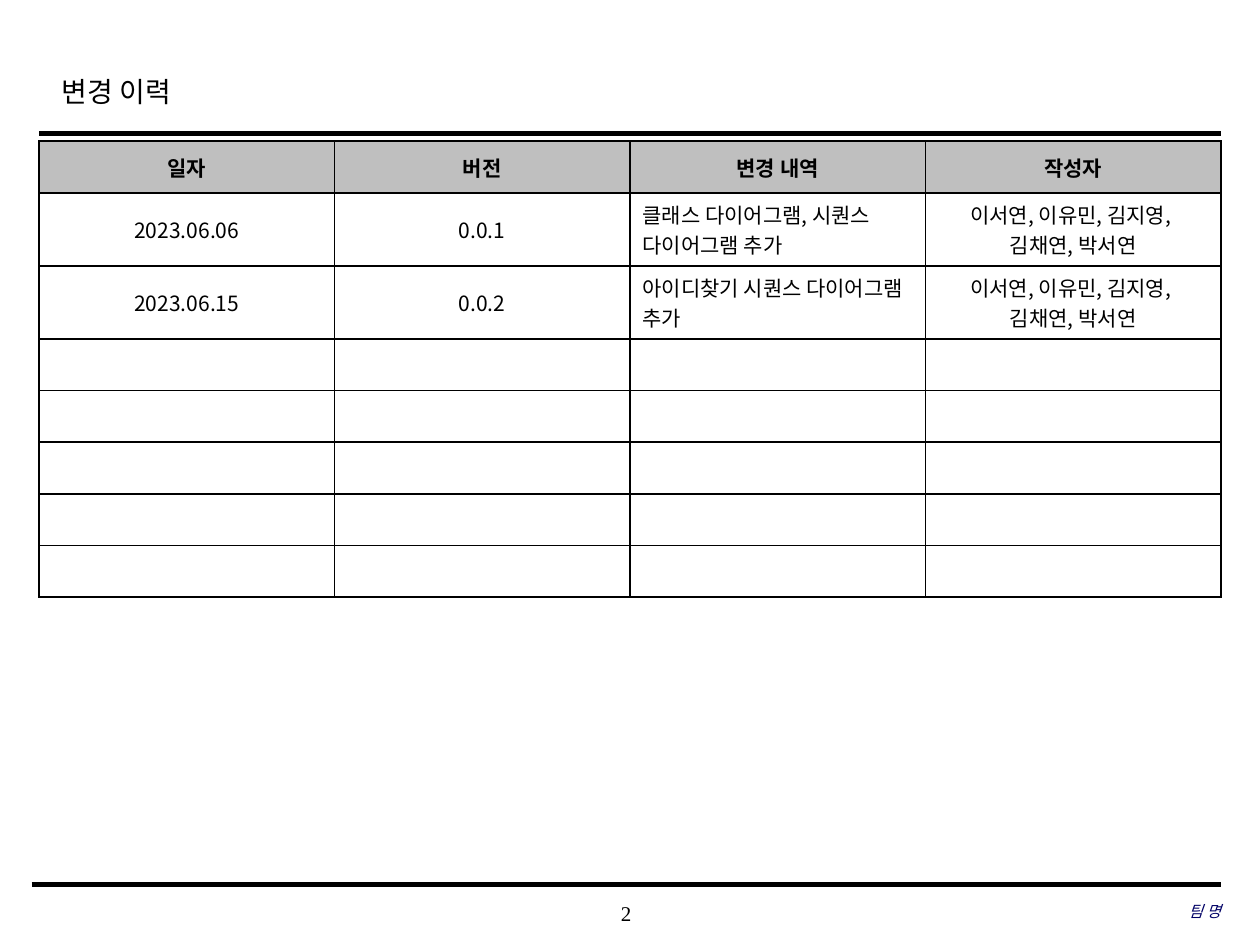
from dataclasses import dataclass

from lxml import etree
from pptx import Presentation
from pptx import util as u
from pptx.dml.color import RGBColor
from pptx.enum import shapes, text
from pptx.oxml import ns

SLIDE_W, SLIDE_H = 10, 7.5
LEFT, RIGHT = 0.31, 9.69
ALIGN = text.PP_ALIGN


@dataclass(frozen=True)
class Theme:
    ink: str = "000000"
    team: str = "000066"
    header: str = "BFBFBF"
    paper: str = "FFFFFF"
    latin: str = "Times New Roman"
    korean: str = "Noto Sans CJK KR"
    title_size: int = 16
    body_size: int = 12
    team_size: int = 9


@dataclass(frozen=True)
class Rule:
    x: float
    y: float
    width: float


@dataclass(frozen=True)
class Label:
    words: str
    box: tuple
    align: int
    fmt: dict


@dataclass(frozen=True)
class Change:
    date: str
    version: str
    detail: str
    authors: str


T = Theme()
BODY = dict(name=T.korean, size=u.Pt(T.body_size), color=T.ink)
AUTHORS = "이서연, 이유민, 김지영, \n김채연, 박서연"
HEADER = Change("일자", "버전", "변경 내역", "작성자")
CHANGES = [
    Change("2023.06.06", "0.0.1", "클래스 다이어그램, 시퀀스 다이어그램 추가", AUTHORS),
    Change("2023.06.15", "0.0.2", "아이디찾기 시퀀스 다이어그램 추가", AUTHORS),
]
EMPTY_ROWS = 5
COLUMNS = 4
COLUMN_W = (RIGHT - LEFT) / COLUMNS
TABLE_TOP, ROW_H, TWO_LINE_ROW_H = 1.12, 0.41, 0.58
RULES = [Rule(LEFT, 1.06, 2.5), Rule(0.25, 7.02, 3)]
LABELS = [
    Label("2", (3.93, 7.08, 2.08, 0.33), ALIGN.CENTER,
          dict(name=T.latin, size=u.Pt(T.body_size), color=T.ink)),
    Label("팀 명", (6.63, 7.07, 3.06, 0.33), ALIGN.RIGHT,
          dict(name=T.latin, size=u.Pt(T.team_size), color=T.team, italic=True)),
]


def inches(*values: float) -> list:
    return [u.Inches(v) for v in values]


def write(tf, words: str, align: int, fmt: dict) -> None:
    """Fill a text frame, one paragraph per line of words."""
    tf.text = words
    tf.word_wrap = True
    for p in tf.paragraphs:
        p.alignment = align
        for r in p.runs:
            for key, value in fmt.items():
                if key == "color":
                    r.font.color.rgb = RGBColor.from_string(value)
                else:
                    setattr(r.font, key, value)
            ea = etree.SubElement(r.font._element, ns.qn("a:ea"))
            ea.set("typeface", T.korean)


def draw_rule(s, rule: Rule) -> None:
    c = s.shapes.add_connector(shapes.MSO_CONNECTOR.STRAIGHT,
                               *inches(rule.x, rule.y, RIGHT, rule.y))
    c.line.color.rgb = RGBColor.from_string(T.ink)
    c.line.width = u.Pt(rule.width)
    etree.SubElement(c._element.spPr, ns.qn("a:effectLst"))


def draw_title(s, words: str) -> None:
    sp = s.shapes.title
    sp.left, sp.top, sp.width, sp.height = inches(0.39, 0.45, 7.55, 0.5)
    tf = sp.text_frame
    write(tf, words, ALIGN.LEFT,
          dict(name=T.latin, size=u.Pt(T.title_size), color=T.ink))
    tf.vertical_anchor = text.MSO_ANCHOR.MIDDLE
    tf.paragraphs[0].line_spacing = 1.2


def draw_label(s, label: Label) -> None:
    tf = s.shapes.add_textbox(*inches(*label.box)).text_frame
    write(tf, label.words, label.align, label.fmt)
    tf.vertical_anchor = text.MSO_ANCHOR.MIDDLE
    for side in ("left", "top", "right", "bottom"):
        setattr(tf, f"margin_{side}", 0)


def border_cell(cell) -> None:
    tcPr = cell._tc.get_or_add_tcPr()
    for i, side in enumerate(("lnL", "lnR", "lnT", "lnB")):
        ln = etree.Element(ns.qn(f"a:{side}"), w=str(u.Pt(1)))
        fill = etree.SubElement(ln, ns.qn("a:solidFill"))
        etree.SubElement(fill, ns.qn("a:srgbClr"), val=T.ink)
        tcPr.insert(i, ln)


def draw_cell(cell, words: str, align: int, fill: str, bold: bool) -> None:
    if words:
        write(cell.text_frame, words, align, BODY | dict(bold=bold))
    else:
        end = etree.SubElement(cell.text_frame.paragraphs[0]._p,
                               ns.qn("a:endParaRPr"))
        end.set("sz", str(T.body_size * 100))
    cell.vertical_anchor = text.MSO_ANCHOR.MIDDLE
    cell.fill.solid()
    cell.fill.fore_color.rgb = RGBColor.from_string(fill)
    border_cell(cell)


def draw_history(s) -> None:
    rows = [HEADER, *CHANGES] + [Change("", "", "", "")] * EMPTY_ROWS
    heights = [TWO_LINE_ROW_H if row in CHANGES else ROW_H for row in rows]
    table = s.shapes.add_table(
        len(rows), COLUMNS,
        *inches(LEFT, TABLE_TOP, RIGHT - LEFT, sum(heights))).table
    for column in table.columns:
        column.width = u.Inches(COLUMN_W)
    for i, (row, height) in enumerate(zip(rows, heights)):
        table.rows[i].height = u.Inches(height)
        is_header = i == 0
        fill = T.header if is_header else T.paper
        for j, words in enumerate((row.date, row.version, row.detail, row.authors)):
            is_detail = j == 2 and not is_header
            align = ALIGN.LEFT if is_detail else ALIGN.CENTER
            draw_cell(table.cell(i, j), words, align, fill, is_header)


def main() -> None:
    prs = Presentation()
    prs.slide_width, prs.slide_height = inches(SLIDE_W, SLIDE_H)
    s = prs.slides.add_slide(prs.slide_layouts.get_by_name("Title Only"))
    for rule in RULES:
        draw_rule(s, rule)
    draw_title(s, "변경 이력")
    for label in LABELS:
        draw_label(s, label)
    draw_history(s)
    prs.save("out.pptx")


if __name__ == "__main__":
    main()
